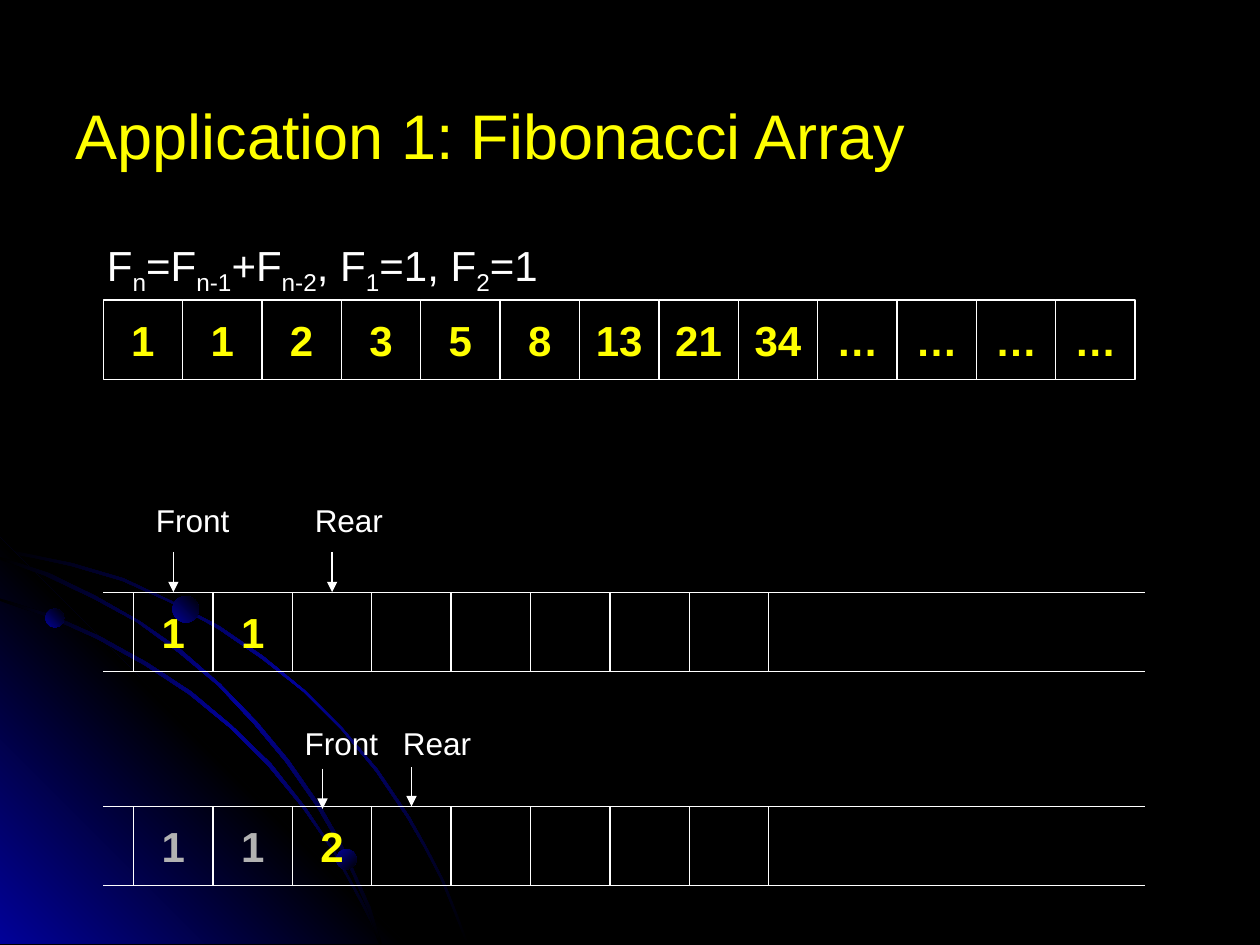
from copy import deepcopy
from dataclasses import dataclass

from pptx import Presentation
from pptx.dml.color import RGBColor
from pptx.enum.shapes import MSO_CONNECTOR, MSO_SHAPE
from pptx.enum.text import MSO_ANCHOR as Anchor, MSO_AUTO_SIZE as AutoSize, PP_ALIGN as Align
from pptx.oxml.ns import qn
from pptx.oxml.xmlchemy import OxmlElement
from pptx.util import Pt

COLORS = {"black": "000000", "blue": "010199", "white": "FFFFFF",
          "yellow": "FFFF00", "gray": "B2B2B2"}
CELL = 45.36
RULE_LEFT, RULE_RIGHT = 59, 654.5
QUEUE_LEFT = 76.4
QUEUE_CELLS = 8
TOP_CENTER = 0  # connection site

GLOW = ["black", "blue", "black"]
CORNER = ["blue", "black", "blue"]
BALL = ["blue", "black"]


@dataclass
class Outline:
    points: list[tuple[float, float]]
    stops: list[str]
    angle: int


@dataclass
class Ball:
    left: float
    top: float
    size: float
    angle: int


@dataclass
class Pointer:
    label: str
    label_left: float
    label_top: float
    label_width: float
    x: float
    top: float
    bottom: float
    cell: int | None = None


@dataclass
class Queue:
    top: float
    values: list[tuple[str, str]]
    pointers: list[Pointer]


OUTLINES = [
    Outline([(41, 321.8), (20.2, 317.5), (0, 313.2), (0, 315.4), (20.2, 319), (40.3, 323.3),
             (69.8, 331.9), (97.2, 344.2), (124.6, 359.3), (149.8, 376.6), (173.5, 395.3),
             (195.1, 416.9), (214.6, 440.6), (232.6, 467.3), (242.6, 484.6), (252, 502.6),
             (259.2, 520.6), (266.4, 539.3), (267.8, 539.3), (260.6, 520.6), (253.4, 502.6),
             (244.1, 484.6), (234, 466.6), (216, 439.9), (195.8, 416.2), (174.2, 394.6),
             (150.5, 375.1), (125.3, 357.8), (97.9, 343.4), (70.6, 330.5)], GLOW, 315),
    Outline([(231.8, 539.3), (0, 539.3), (0, 307.4)], CORNER, 45),
    Outline([(205.2, 514.1), (211.7, 527), (216.7, 539.3), (218.2, 539.3), (213.1, 525.6),
             (205.9, 512.6), (191.5, 486.7), (174.2, 460.8), (154.8, 436.3), (132.5, 414.7),
             (109.4, 395.3), (84.2, 378.7), (56.9, 363.6), (29.5, 351.4), (0, 342),
             (0, 343.4), (28.1, 352.8), (55.4, 365), (82.8, 380.2), (108, 396.7),
             (131.8, 416.2), (153.4, 437.8), (172.8, 461.5), (190.8, 487.4)], GLOW, 315),
    Outline([(0, 318.2), (0, 319.7), (25.9, 329), (53.3, 342), (78.5, 355.7), (102.2, 373),
             (124.6, 391.7), (145.4, 414), (163.4, 435.6), (181.4, 461.5), (192.2, 480.2),
             (201.6, 499.7), (210.2, 519.8), (216.7, 539.3), (218.2, 539.3), (211.7, 518.4),
             (203, 499), (193.7, 478.8), (182.9, 460.1), (164.9, 434.2), (146.9, 412.6),
             (126, 391), (103.7, 371.5), (79.9, 355), (54.7, 340.6), (28.1, 327.6)], GLOW, 315),
]
BALLS = [Ball(25.9, 347.8, 10.8, 45), Ball(192.2, 485.3, 11.5, 315), Ball(98.6, 340.6, 15.1, 45)]
SEQUENCE = ["1", "1", "2", "3", "5", "8", "13", "21", "34"] + ["…"] * 4
# (text, is subscript)
FORMULA = [("F", False), ("n", True), ("=F", False), ("n-1", True), ("+F", False), ("n-2", True),
           (", F", False), ("1", True), ("=1, F", False), ("2", True), ("=1", False)]
QUEUES = [
    Queue(338.4, [("1", "yellow"), ("1", "yellow")],
          [Pointer("Front", 82, 283, 56.2, 99.1, 315.4, 338.4, 0),
           Pointer("Rear", 172.8, 283, 53.3, 189.8, 315.4, 338.4, 2)]),
    Queue(460.8, [("1", "gray"), ("1", "gray"), ("2", "yellow")],
          [Pointer("Front", 167, 410.4, 56.2, 184.3, 439.2, 462.2),
           Pointer("Rear", 223.2, 410.4, 53.3, 235.2, 438.5, 460.8, 3)]),
]


def rgb(color: str) -> RGBColor:
    return RGBColor.from_string(COLORS[color])


def style_font(font, size: float, color: str, bold: bool = False) -> None:
    for key, value in {"name": "Arial", "size": Pt(size), "bold": bold}.items():
        setattr(font, key, value)
    font.color.rgb = rgb(color)


def shade(shape, stops: list[str], angle: int) -> None:
    """Fill without outline or shadow, with evenly spaced gradient stops."""
    shape.shadow.inherit = False
    shape.line.fill.background()
    shape.fill.gradient()
    shape.fill.gradient_angle = angle
    stop_list = shape._element.spPr.find(qn("a:gradFill")).find(qn("a:gsLst"))
    for _ in stops[2:]:
        stop_list.append(deepcopy(stop_list[-1]))
    for index, (stop, color) in enumerate(zip(shape.fill.gradient_stops, stops)):
        stop.position = index / (len(stops) - 1)
        stop.color.rgb = rgb(color)


def draw_backdrop(shapes) -> None:
    for outline in OUTLINES:
        tenths = [(round(x * 10), round(y * 10)) for x, y in outline.points]
        builder = shapes.build_freeform(*tenths[0], scale=Pt(0.1))
        builder.add_line_segments(tenths[1:], close=True)
        shade(builder.convert_to_shape(), outline.stops, outline.angle)
    for ball in BALLS:
        size = Pt(ball.size)
        oval = shapes.add_shape(MSO_SHAPE.OVAL, Pt(ball.left), Pt(ball.top), size, size)
        shade(oval, BALL, ball.angle)


def draw_cell(shapes, left: float, top: float, value: str = "", color: str = "yellow"):
    cell = shapes.add_shape(MSO_SHAPE.RECTANGLE, Pt(left), Pt(top), Pt(CELL), Pt(CELL))
    cell.shadow.inherit = False
    cell.fill.background()
    cell.line.color.rgb = rgb("white")
    cell.line.width = Pt(0.75)
    if value:
        frame = cell.text_frame
        frame.word_wrap = False
        frame.vertical_anchor = Anchor.MIDDLE
        paragraph = frame.paragraphs[0]
        paragraph.text = value
        paragraph.alignment = Align.CENTER
        style_font(paragraph.font, 24, color, bold=True)
    return cell


def draw_line(shapes, x1: float, y1: float, x2: float, y2: float, arrow: bool = False):
    line = shapes.add_connector(MSO_CONNECTOR.STRAIGHT, Pt(x1), Pt(y1), Pt(x2), Pt(y2))
    line.line.color.rgb = rgb("white")
    line.line.width = Pt(0.75)
    if arrow:
        tail = OxmlElement("a:tailEnd")
        tail.set("type", "triangle")
        line.line._get_or_add_ln().append(tail)
    line._element.spPr.append(OxmlElement("a:effectLst"))
    return line


def draw_text(shapes, left: float, top: float, width: float, height: float,
              pieces: list[tuple[str, bool]], size: float) -> None:
    box = shapes.add_textbox(Pt(left), Pt(top), Pt(width), Pt(height))
    frame = box.text_frame
    frame.word_wrap = False
    frame.auto_size = AutoSize.SHAPE_TO_FIT_TEXT
    for text, subscript in pieces:
        run = frame.paragraphs[0].add_run()
        run.text = text
        style_font(run.font, size, "white")
        if subscript:
            run._r.get_or_add_rPr().set("baseline", "-25000")


def draw_queue(shapes, queue: Queue) -> None:
    for y in (queue.top, queue.top + CELL):
        draw_line(shapes, RULE_LEFT, y, RULE_RIGHT, y)
    contents = queue.values + [("", "yellow")] * (QUEUE_CELLS - len(queue.values))
    cells = [draw_cell(shapes, QUEUE_LEFT + index * CELL, queue.top, value, color)
             for index, (value, color) in enumerate(contents)]
    for pointer in queue.pointers:
        draw_text(shapes, pointer.label_left, pointer.label_top, pointer.label_width, 28.8,
                  [(pointer.label, False)], 18)
        arrow = draw_line(shapes, pointer.x, pointer.top, pointer.x, pointer.bottom, arrow=True)
        if pointer.cell is not None:
            arrow.end_connect(cells[pointer.cell], TOP_CENTER)
            arrow.begin_x = arrow.end_x


def draw_title(title) -> None:
    place = {"left": 36, "top": 31.7, "width": 648, "height": 90}
    for key, value in place.items():
        setattr(title, key, Pt(value))
    frame = title.text_frame
    frame.text = "Application 1: Fibonacci Array"
    frame.auto_size = AutoSize.NONE
    frame.vertical_anchor = Anchor.MIDDLE
    frame.paragraphs[0].alignment = Align.LEFT
    style_font(frame.paragraphs[0].runs[0].font, 36, "yellow")


def main() -> None:
    deck = Presentation()
    deck.slide_width, deck.slide_height = Pt(720), Pt(540)
    slide = deck.slides.add_slide(deck.slide_layouts[5])
    slide.background.fill.solid()
    slide.background.fill.fore_color.rgb = rgb("black")
    shapes = slide.shapes
    draw_title(shapes.title)
    draw_backdrop(shapes)
    for index, number in enumerate(SEQUENCE):
        draw_cell(shapes, RULE_LEFT + index * CELL, 171.4, number)
    draw_text(shapes, 54, 133.2, 270, 36, FORMULA, 24)
    for queue in QUEUES:
        draw_queue(shapes, queue)
    deck.save("out.pptx")


if __name__ == "__main__":
    main()
